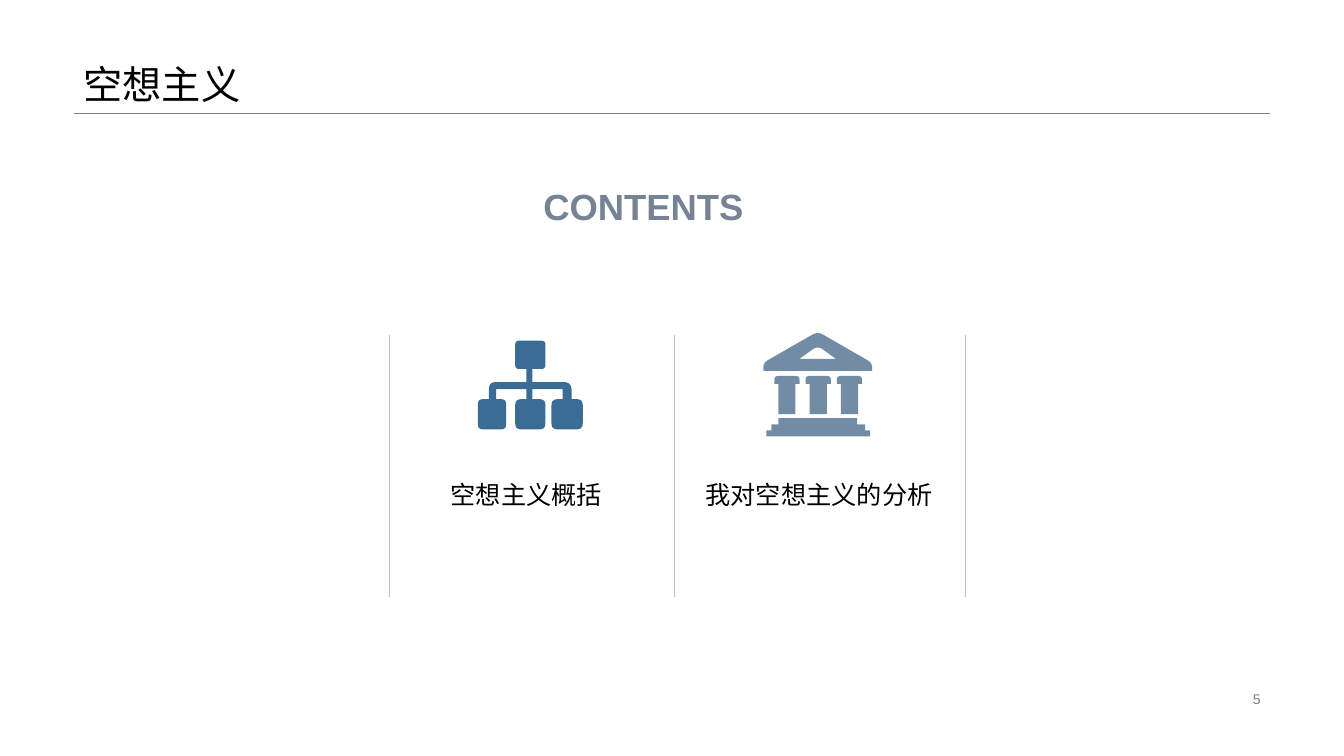
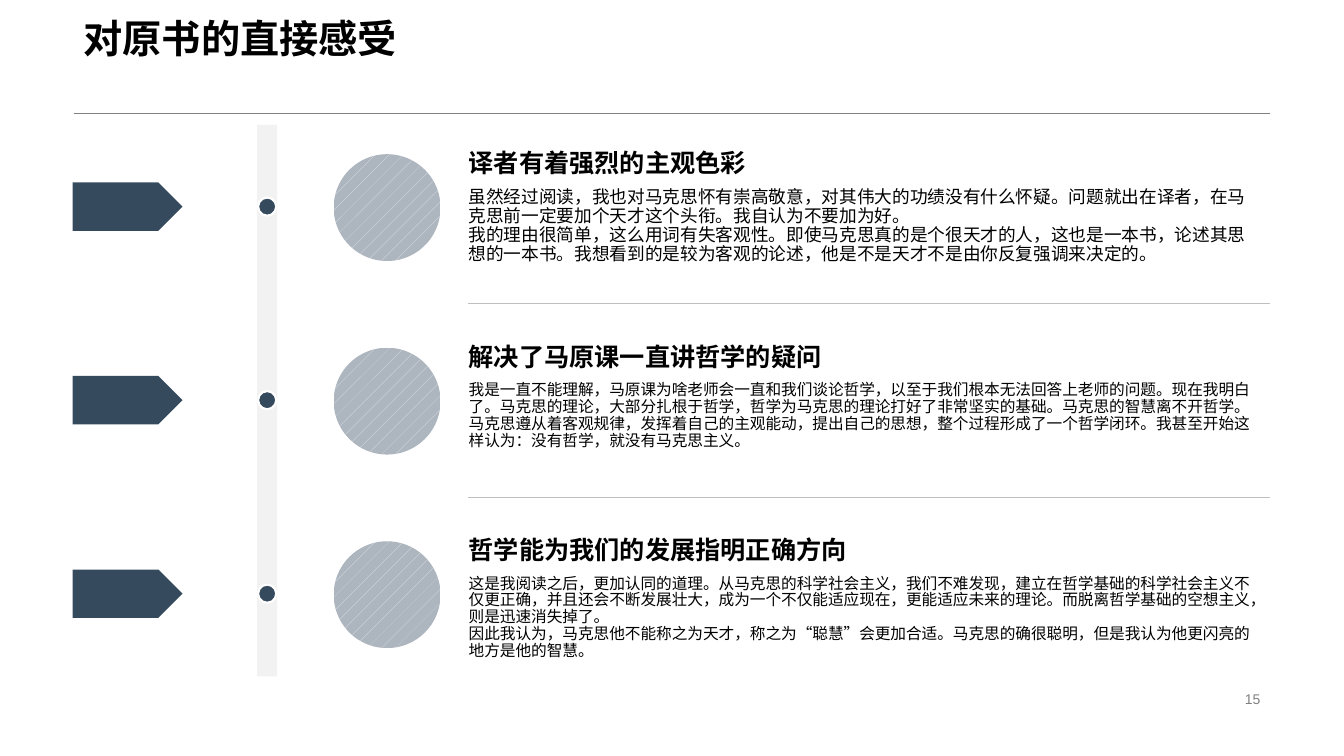
from math import dist

from lxml import etree
from pptx import Presentation
from pptx.dml.color import RGBColor
from pptx.enum.dml import MSO_PATTERN
from pptx.enum.shapes import MSO_CONNECTOR, MSO_SHAPE
from pptx.enum.text import MSO_ANCHOR, MSO_AUTO_SIZE, PP_ALIGN
from pptx.oxml.ns import qn
from pptx.util import Pt

PX = 9144
FONT = "Arial"
BLACK = RGBColor(0x00, 0x00, 0x00)
WHITE = RGBColor(0xFF, 0xFF, 0xFF)
GRAY = RGBColor(0x80, 0x80, 0x80)
RULE = RGBColor(0xBF, 0xBF, 0xBF)
TRACK = RGBColor(0xF2, 0xF2, 0xF2)
HEADING = RGBColor(0x76, 0x83, 0x94)
BLUE = RGBColor(0x3B, 0x6C, 0x95)
SLATE = RGBColor(0x73, 0x8C, 0xA6)
NAVY = RGBColor(0x36, 0x4A, 0x5E)
HATCH = RGBColor(0xE4, 0xE6, 0xEA)
DISC = RGBColor(0xAD, 0xB5, 0xBF)
LEFT, CENTER, RIGHT = PP_ALIGN.LEFT, PP_ALIGN.CENTER, PP_ALIGN.RIGHT
TOP, MIDDLE, BOTTOM = MSO_ANCHOR.TOP, MSO_ANCHOR.MIDDLE, MSO_ANCHOR.BOTTOM
NO_FIT = MSO_AUTO_SIZE.NONE
STRAIGHT = MSO_CONNECTOR.STRAIGHT
RECTANGLE, OVAL, PENTAGON = MSO_SHAPE.RECTANGLE, MSO_SHAPE.OVAL, MSO_SHAPE.PENTAGON
FINE_DOTS = MSO_PATTERN.PERCENT_5


def add_line(page, x1, y1, x2, y2, color):
    line = page.shapes.add_connector(STRAIGHT, x1 * PX, y1 * PX, x2 * PX, y2 * PX)
    line.line.color.rgb = color
    line.line.width = Pt(0.25)
    etree.SubElement(line.element.spPr, qn("a:effectLst"))
    return line


def add_text(page, place, lines, size, color=BLACK, bold=False, align=LEFT, anchor=MIDDLE, spacing=None):
    box = page.shapes.add_textbox(*(value * PX for value in place))
    frame = box.text_frame
    frame.word_wrap = True
    frame.vertical_anchor = anchor
    frame.text = "\n".join(lines)
    for para in frame.paragraphs:
        para.alignment = align
        para.line_spacing = spacing
        para.font.name = FONT
        para.font.size = Pt(size)
        para.font.bold = bold
        para.font.color.rgb = color


deck = Presentation()
deck.slide_width = 1333 * PX
deck.slide_height = 750 * PX
layout = deck.slide_layouts[5]

pages = []
for title_text, number, bold, bottom in [
    ("空想主义", "5", False, 5),
    ("对原书的直接感受", "15", True, 51),
]:
    page = deck.slides.add_slide(layout)
    title = page.shapes.title
    title.left, title.top, title.width, title.height = 73 * PX, 0, 1187 * PX, 112 * PX
    frame = title.text_frame
    frame.text = title_text
    frame.auto_size = NO_FIT
    frame.vertical_anchor = BOTTOM
    frame.margin_bottom = bottom * PX
    para = frame.paragraphs[0]
    para.alignment = LEFT
    para.line_spacing = 0.9
    para.font.name = FONT
    para.font.size = Pt(28)
    para.font.bold = bold
    para.font.color.rgb = BLACK
    add_text(page, (942, 682, 318, 23), [number], 10, GRAY, align=RIGHT)
    pages.append(page)
contents, feelings = pages

title_rule = add_line(contents, 73, 112, 1260, 112, GRAY)
layout.shapes.element.append(title_rule.element)

add_text(contents, (529, 154, 276, 101), ["CONTENTS"], 26, HEADING, bold=True)
add_text(contents, (397, 469, 250, 44), ["空想主义概括"], 18, align=CENTER)
add_text(contents, (690, 469, 250, 44), ["我对空想主义的分析"], 18)
for x in (386, 669, 957):
    add_line(contents, x, 332, x, 592, RULE)

tree = [
    (511, 338, 4), (541, 338, 4), (541, 366, 4), (528, 366, 0), (528, 379, 0),
    (567, 379, 8), (567, 396, 0), (578, 396, 6), (578, 426, 6), (547, 426, 6),
    (547, 396, 6), (558, 396, 0), (558, 386, 0), (528, 386, 0), (528, 396, 0),
    (541, 396, 6), (541, 426, 6), (511, 426, 6), (511, 396, 6), (522, 396, 0),
    (522, 386, 0), (492, 386, 0), (492, 396, 0), (502, 396, 5), (502, 426, 5),
    (474, 426, 5), (474, 396, 5), (485, 396, 0), (485, 379, 7), (522, 379, 0),
    (522, 366, 0), (511, 366, 4),
]
steps = [
    (772, 415, 0), (850, 415, 0), (850, 421, 0), (858, 421, 0), (858, 427, 0), (863, 427, 0),
    (863, 433, 0), (760, 433, 0), (760, 427, 0), (765, 427, 0), (765, 421, 0), (772, 421, 0),
]
columns = [
    [
        (x, 373, 4), (x + 25, 373, 4), (x + 25, 381, 0), (x + 21, 381, 0),
        (x + 21, 411, 0), (x + 4, 411, 0), (x + 4, 381, 0), (x, 381, 0),
    ]
    for x in (768, 799, 830)
]
roof = [(757, 368, 0), (757, 360, 5), (811, 329, 6), (865, 360, 5), (865, 368, 0)]
gable = [(829, 356, 0), (811, 343, 6), (793, 356, 0)]

for outlines, color in [([tree], BLUE), ([steps, *columns, roof, gable], SLATE)]:
    builder = None
    for corners in outlines:
        points = []
        for index, (x, y, radius) in enumerate(corners):
            if radius == 0:
                points.append((x * PX, y * PX))
                continue
            ends = []
            for neighbor in (corners[index - 1], corners[(index + 1) % len(corners)]):
                share = radius / dist((x, y), neighbor[:2])
                ends.append((x + (neighbor[0] - x) * share, y + (neighbor[1] - y) * share))
            (x1, y1), (x2, y2) = ends
            for step in range(6):
                t = step / 5
                a, b, c = (1 - t) ** 2, 2 * t * (1 - t), t ** 2
                points.append(((a * x1 + b * x + c * x2) * PX, (a * y1 + b * y + c * y2) * PX))
        if builder is None:
            builder = contents.shapes.build_freeform(*points[0], scale=1.0)
        else:
            builder.move_to(*points[0])
        builder.add_line_segments(points[1:], close=True)
    icon = builder.convert_to_shape()
    icon.shadow.inherit = False
    icon.fill.solid()
    icon.fill.fore_color.rgb = color
    icon.line.fill.background()

sections = [
    ("译者有着强烈的主观色彩", 12.6, [
        "虽然经过阅读，我也对马克思怀有崇高敬意，对其伟大的功绩没有什么怀疑。问题就出在译者，在马克思前一定要加个天才这个头衔。我自认为不要加为好。",
        "我的理由很简单，这么用词有失客观性。即使马克思真的是个很天才的人，这也是一本书，论述其思想的一本书。我想看到的是较为客观的论述，他是不是天才不是由你反复强调来决定的。",
    ]),
    ("解决了马原课一直讲哲学的疑问", 11.2, [
        "我是一直不能理解，马原课为啥老师会一直和我们谈论哲学，以至于我们根本无法回答上老师的问题。现在我明白了。马克思的理论，大部分扎根于哲学，哲学为马克思的理论打好了非常坚实的基础。马克思的智慧离不开哲学。",
        "马克思遵从着客观规律，发挥着自己的主观能动，提出自己的思想，整个过程形成了一个哲学闭环。我甚至开始这样认为：没有哲学，就没有马克思主义。",
    ]),
    ("哲学能为我们的发展指明正确方向", 11.2, [
        "这是我阅读之后，更加认同的道理。从马克思的科学社会主义，我们不难发现，建立在哲学基础的科学社会主义不仅更正确，并且还会不断发展壮大，成为一个不仅能适应现在，更能适应未来的理论。而脱离哲学基础的空想主义，则是迅速消失掉了。",
        "因此我认为，马克思他不能称之为天才，称之为“聪慧”会更加合适。马克思的确很聪明，但是我认为他更闪亮的地方是他的智慧。",
    ]),
]
ROW_STEP = 192
marks = [(RECTANGLE, 255, 124, 20, 547, TRACK)]
for row in range(len(sections)):
    offset = row * ROW_STEP
    marks += [
        (OVAL, 256, 196 + offset, 18, 18, NAVY),
        (PENTAGON, 72, 181 + offset, 109, 48, NAVY),
        (OVAL, 331, 153 + offset, 106, 106, DISC),
    ]
for kind, x, y, width, height, color in marks:
    mark = feelings.shapes.add_shape(kind, x * PX, y * PX, width * PX, height * PX)
    mark.shadow.inherit = False
    if color == DISC:
        mark.fill.patterned()
        mark.fill.pattern = FINE_DOTS
        mark.fill.fore_color.rgb = HATCH
        mark.fill.back_color.rgb = DISC
    else:
        mark.fill.solid()
        mark.fill.fore_color.rgb = color
    if kind == OVAL and color == NAVY:
        mark.line.color.rgb = WHITE
        mark.line.width = Pt(1.5)
    else:
        mark.line.fill.background()

for row, (heading, size, lines) in enumerate(sections):
    offset = row * ROW_STEP
    add_text(feelings, (455, 140 + offset, 805, 43), [heading], 18, bold=True)
    add_text(feelings, (455, 182 + offset, 805, 89), lines, size, anchor=TOP, spacing=0.9)
    if row:
        add_line(feelings, 464, 109 + offset, 1260, 109 + offset, RULE)

deck.save("out.pptx")
